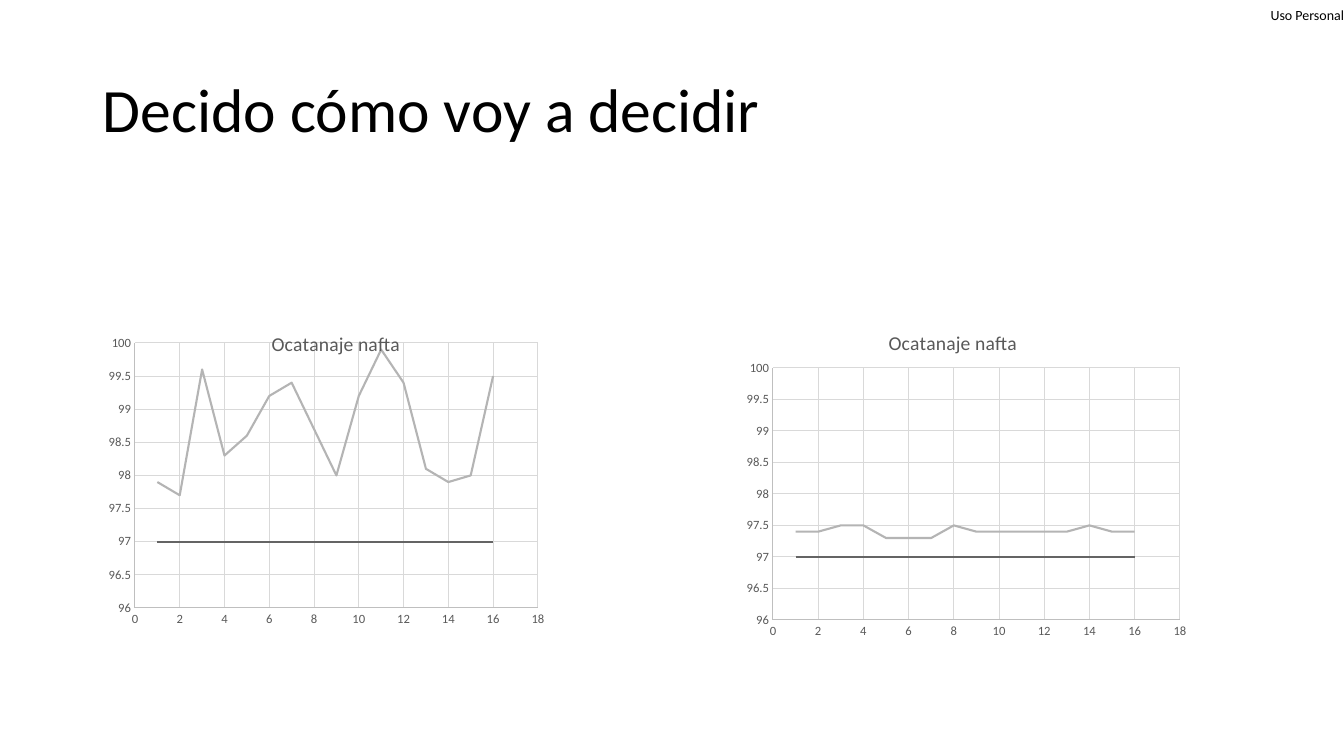
import lxml.etree
import pptx
import pptx.chart.data
import pptx.dml.color
import pptx.enum.chart
import pptx.enum.text
import pptx.oxml.ns
import pptx.util

EMU_PER_PIXEL = 914400 / 100.8
FONT = "Calibri"
BLACK = pptx.dml.color.RGBColor(0x00, 0x00, 0x00)
LABEL_GRAY = pptx.dml.color.RGBColor(0x59, 0x59, 0x59)
AXIS_GRAY = pptx.dml.color.RGBColor(0xBF, 0xBF, 0xBF)
GRID_GRAY = pptx.dml.color.RGBColor(0xD9, 0xD9, 0xD9)
LIMIT_GRAY = pptx.dml.color.RGBColor(0x64, 0x64, 0x64)
OCTANE_GRAY = pptx.dml.color.RGBColor(0xB4, 0xB4, 0xB4)

LIMIT = 97
VARIABLE_OCTANE = (97.9, 97.7, 99.6, 98.3, 98.6, 99.2, 99.4, 98.7,
                   98, 99.2, 99.9, 99.4, 98.1, 97.9, 98, 99.5)
STABLE_OCTANE = (97.4, 97.4, 97.5, 97.5, 97.3, 97.3, 97.3, 97.5,
                 97.4, 97.4, 97.4, 97.4, 97.4, 97.5, 97.4, 97.4)


def pixels(*lengths):
    """Turn pixel lengths into EMU."""
    return [pptx.util.Emu(round(length * EMU_PER_PIXEL)) for length in lengths]


def set_font(font, size, color):
    """Give a font the slide's typeface, a size in points and a color."""
    font.name = FONT
    font.size = pptx.util.Pt(size)
    font.bold = False
    font.color.rgb = color


def set_line(line, color, width):
    """Give a line a color and a width in points."""
    line.color.rgb = color
    line.width = pptx.util.Pt(width)


def add_text(slide, box, text, size, alignment=pptx.enum.text.PP_ALIGN.LEFT,
             margins=(0, 0), line_spacing=1.0):
    """Add vertically centred text; margins are horizontal and vertical."""
    frame = slide.shapes.add_textbox(*pixels(*box)).text_frame
    frame.word_wrap = True
    frame.vertical_anchor = pptx.enum.text.MSO_ANCHOR.MIDDLE
    horizontal, vertical = pixels(*margins)
    frame.margin_left = frame.margin_right = horizontal
    frame.margin_top = frame.margin_bottom = vertical
    paragraph = frame.paragraphs[0]
    paragraph.alignment = alignment
    paragraph.line_spacing = line_spacing
    run = paragraph.add_run()
    run.text = text
    set_font(run.font, size, BLACK)


def set_layout(element, index, settings):
    """Replace the layout of a chart part with manual settings."""
    qualified = pptx.oxml.ns.qn
    for layout in element.findall(qualified("c:layout")):
        element.remove(layout)
    layout = lxml.etree.Element(qualified("c:layout"))
    manual = lxml.etree.SubElement(layout, qualified("c:manualLayout"))
    for name, value in settings.items():
        lxml.etree.SubElement(manual, qualified("c:" + name), val=str(value))
    element.insert(index, layout)


def format_axis(axis, minimum, maximum, unit):
    """Set the scale, grid, line and labels of one axis."""
    axis.minimum_scale = minimum
    axis.maximum_scale = maximum
    axis.major_unit = unit
    axis.has_major_gridlines = True
    axis.major_tick_mark = pptx.enum.chart.XL_TICK_MARK.NONE
    axis.minor_tick_mark = pptx.enum.chart.XL_TICK_MARK.NONE
    set_line(axis.major_gridlines.format.line, GRID_GRAY, 0.75)
    set_line(axis.format.line, AXIS_GRAY, 0.75)
    set_font(axis.tick_labels.font, 9, LABEL_GRAY)


def add_octane_chart(slide, box, octane, plot_box, title_corner):
    """Add an octane chart; plot and title are placed within its box."""
    data = pptx.chart.data.XyChartData()
    limits = [LIMIT] * len(octane)
    for name, values in (("Series 1", limits), ("Series 2", octane)):
        series = data.add_series(name)
        for sample, value in enumerate(values, start=1):
            series.add_data_point(sample, value)
    chart = slide.shapes.add_chart(
        pptx.enum.chart.XL_CHART_TYPE.XY_SCATTER_LINES_NO_MARKERS,
        *pixels(*box), data).chart
    set_font(chart.font, 10, BLACK)
    chart.has_legend = False
    format_axis(chart.category_axis, 0, 18, 2)
    format_axis(chart.value_axis, 96, 100, 0.5)
    chart.plots[0].vary_by_categories = False
    for series, color in zip(chart.plots[0].series, (LIMIT_GRAY, OCTANE_GRAY)):
        series.smooth = False
        set_line(series.format.line, color, 1.5)

    chart.has_title = True
    paragraph = chart.chart_title.text_frame.paragraphs[0]
    run = paragraph.add_run()
    run.text = "Ocatanaje nafta"
    set_font(run.font, 14, LABEL_GRAY)

    width, height = box[2:]
    left, top, plot_width, plot_height = plot_box
    chart_space = chart.element
    set_layout(chart_space.xpath("c:chart/c:plotArea")[0], 0, {
        "layoutTarget": "inner", "xMode": "edge", "yMode": "edge",
        "x": left / width, "y": top / height,
        "w": plot_width / width, "h": plot_height / height})
    title_left, title_top = title_corner
    set_layout(chart_space.xpath("c:chart/c:title")[0], 1, {
        "xMode": "edge", "yMode": "edge",
        "x": title_left / width, "y": title_top / height})


def build_slide(presentation):
    """Add the slide with its label, title and two octane charts."""
    slide = presentation.slides.add_slide(presentation.slide_layouts[6])
    add_text(slide, (1239, 0, 105, 29), "Uso Personal", 10,
             alignment=pptx.enum.text.PP_ALIGN.RIGHT)
    add_text(slide, (93, 40, 1159, 146), "Decido cómo voy a decidir", 44,
             margins=(10, 5), line_spacing=0.9)
    add_octane_chart(slide, (738, 308, 458, 338), STABLE_OCTANE,
                     plot_box=(35, 60, 407, 252), title_corner=(147, 18))
    add_octane_chart(slide, (93, 308, 481, 369), VARIABLE_OCTANE,
                     plot_box=(42, 35, 403, 265), title_corner=(175, 19))


def main():
    """Build and save the presentation."""
    presentation = pptx.Presentation()
    presentation.slide_width, presentation.slide_height = pixels(1344, 756)
    build_slide(presentation)
    presentation.save("out.pptx")


main()
